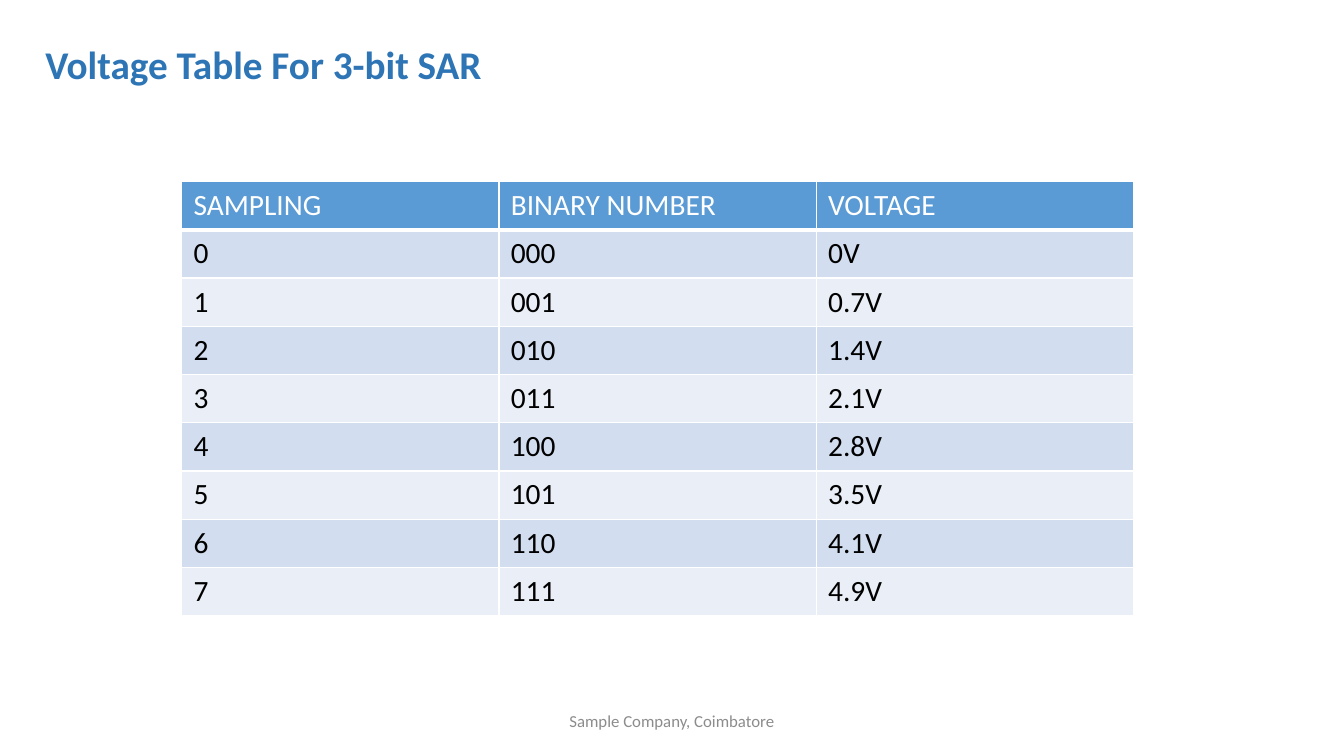
from lxml import etree
from pptx import Presentation
from pptx.dml.color import RGBColor
from pptx.enum.text import MSO_ANCHOR, MSO_AUTO_SIZE, PP_ALIGN
from pptx.oxml.ns import qn
from pptx.util import Pt

LEFT, CENTER = PP_ALIGN.LEFT, PP_ALIGN.CENTER
MIDDLE, BOTTOM = MSO_ANCHOR.MIDDLE, MSO_ANCHOR.BOTTOM
FIXED = MSO_AUTO_SIZE.NONE

ROWS = [("SAMPLING", "BINARY NUMBER", "VOLTAGE")]
VOLTS = ["0V", "0.7V", "1.4V", "2.1V", "2.8V", "3.5V", "4.1V", "4.9V"]
ROWS += [(str(n), f"{n:03b}", volt) for n, volt in enumerate(VOLTS)]


def color(code):
    return RGBColor.from_string(code)


class Deck:
    face = "Calibri"
    blue, gray, white, black = "2E75B6", "8C8C8C", "FFFFFF", "000000"
    head, bands = "5B9BD5", ("EAEFF7", "D2DEEF")

    def __init__(self):
        self.prs = Presentation()
        self.prs.slide_width, self.prs.slide_height = Pt(960), Pt(540)
        self.slide = self.prs.slides.add_slide(self.prs.slide_layouts[5])

    def style(self, para, size, code, bold=False, align=LEFT):
        para.alignment = align
        font = para.font
        font.name, font.size, font.bold = self.face, Pt(size), bold
        font.color.rgb = color(code)

    def title(self, text, x, y, w, h):
        shape = self.slide.shapes.title
        shape.left, shape.top, shape.width, shape.height = map(Pt, (x, y, w, h))
        frame = shape.text_frame
        frame.text = text
        frame.auto_size, frame.vertical_anchor = FIXED, BOTTOM
        para = frame.paragraphs[0]
        para.line_spacing = 0.9
        self.style(para, 28, self.blue, bold=True)

    def footer(self, text, x, y, w, h):
        frame = self.slide.shapes.add_textbox(*map(Pt, (x, y, w, h))).text_frame
        frame.word_wrap, frame.vertical_anchor = True, MIDDLE
        frame.text = text
        self.style(frame.paragraphs[0], 12, self.gray, align=CENTER)

    def border(self, cell, low):
        props = cell._tc.get_or_add_tcPr()
        for i, side in enumerate("LRTB"):
            width = low if side == "B" else 1
            line = etree.Element(qn(f"a:ln{side}"), w=str(Pt(width)))
            fill = etree.SubElement(line, qn("a:solidFill"))
            etree.SubElement(fill, qn("a:srgbClr"), val=self.white)
            props.insert(i, line)

    def table(self, rows, x, y, w, h):
        size = len(rows), len(rows[0])
        grid = self.slide.shapes.add_table(*size, *map(Pt, (x, y, w, h))).table
        for r, row in enumerate(rows):
            for c, text in enumerate(row):
                cell = grid.cell(r, c)
                cell.text = text
                cell.margin_left = cell.margin_right = Pt(8.5)
                cell.margin_top = cell.margin_bottom = Pt(4.25)
                cell.fill.solid()
                cell.fill.fore_color.rgb = color(self.bands[r % 2] if r else self.head)
                self.border(cell, 1 if r else 3)
                self.style(cell.text_frame.paragraphs[0], 21,
                           self.black if r else self.white)


def main():
    deck = Deck()
    # Heading
    deck.title("Voltage Table For 3-bit SAR", 25.2, 34.5, 523, 32)
    # Voltage for each sample
    deck.table(ROWS, 129.75, 129.75, 680, 310)
    # Footer
    deck.footer("Sample Company, Coimbatore", 318, 500.5, 324, 28.75)
    deck.prs.save("out.pptx")


if __name__ == "__main__":
    main()
